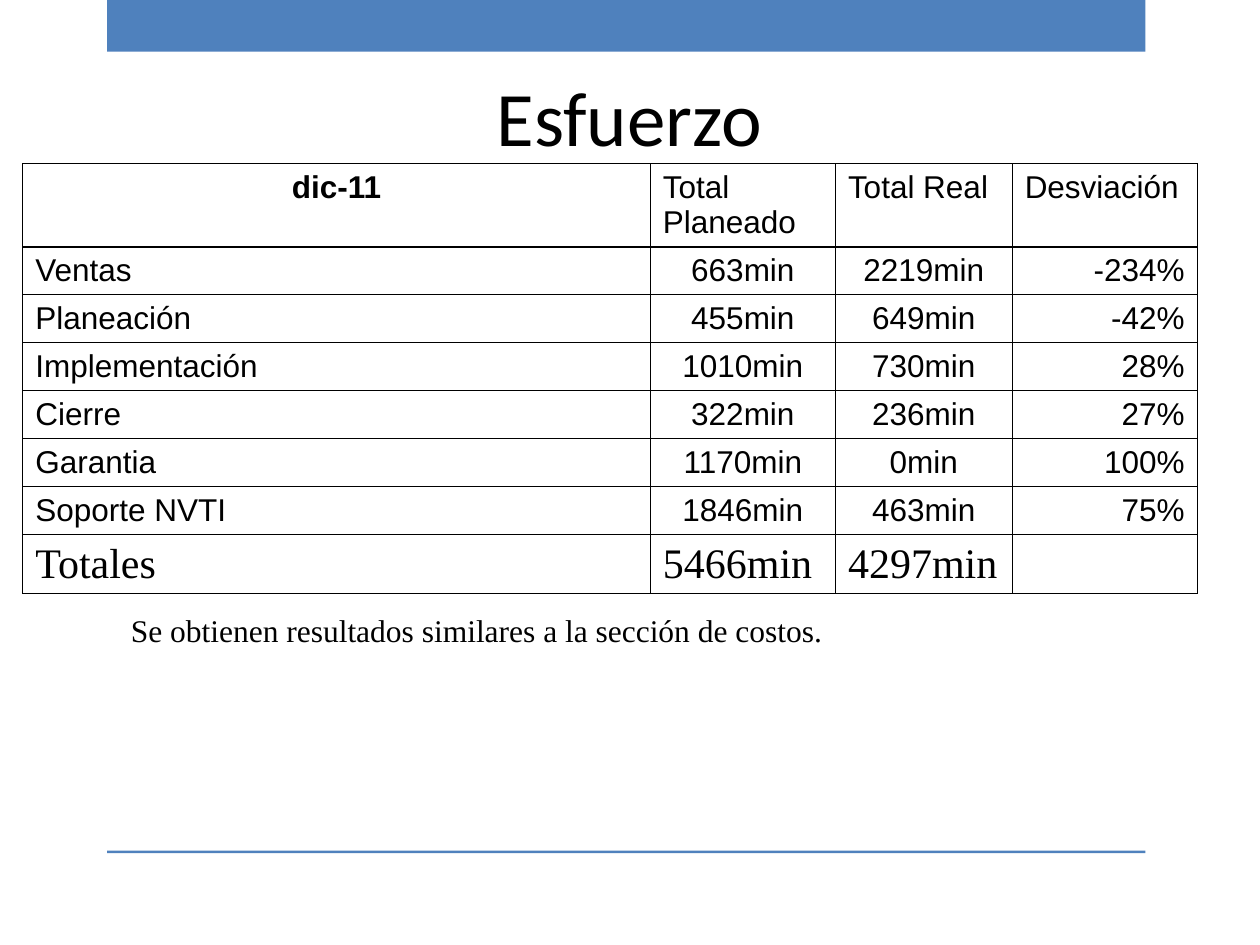
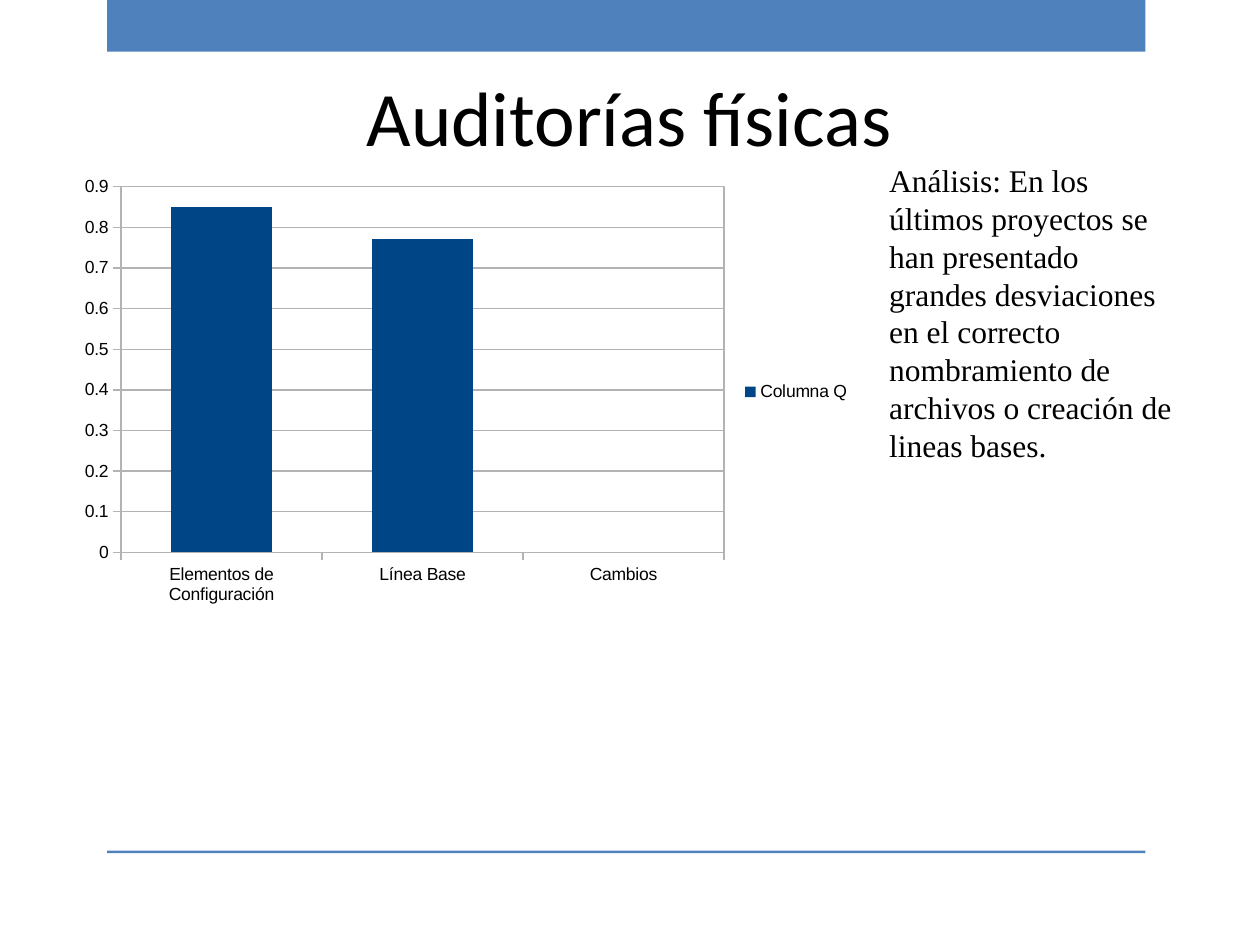
"""Build two project report slides: effort by phase and physical audits."""

from dataclasses import dataclass
from typing import Any

from lxml.etree import SubElement
from pptx import Presentation
from pptx.chart.data import CategoryChartData
from pptx.dml.color import RGBColor
from pptx.enum.chart import XL_CHART_TYPE, XL_LEGEND_POSITION, XL_TICK_MARK
from pptx.enum.shapes import MSO_SHAPE
from pptx.enum.text import MSO_ANCHOR, PP_ALIGN
from pptx.oxml import parse_xml
from pptx.oxml.ns import nsdecls, qn
from pptx.util import Pt

BLUE = RGBColor(0x4F, 0x81, 0xBD)
NAVY = RGBColor(0x00, 0x45, 0x86)
GRAY = RGBColor(0xB3, 0xB3, 0xB3)
BLACK = RGBColor(0x00, 0x00, 0x00)
WHITE = RGBColor(0xFF, 0xFF, 0xFF)
LINE_WIDTH = Pt(0.75)

TITLE_FONT = {"name": "Calibri", "size": Pt(44), "bold": False}
NOTE_FONT = {"name": "Times New Roman", "size": Pt(18)}
CELL_FONT = {"name": "Arial", "size": Pt(18), "bold": False}
HEADING_FONT = {**CELL_FONT, "bold": True}
TOTAL_FONT = {**CELL_FONT, "name": "Times New Roman", "size": Pt(24)}
CHART_FONT = {"name": "Arial", "size": Pt(10)}


@dataclass(frozen=True)
class Box:
    left: float
    top: float
    width: float
    height: float

    def lengths(self) -> tuple[Pt, Pt, Pt, Pt]:
        return Pt(self.left), Pt(self.top), Pt(self.width), Pt(self.height)


@dataclass(frozen=True)
class RowStyle:
    height: float
    font: dict[str, Any]
    alignments: tuple[PP_ALIGN, ...]


TITLE_BOX = Box(36, 21.6, 647.3, 89.3)
BANDS = (Box(61.2, 0, 593.3, 29.5), Box(61.2, 486, 593.3, 1.5))

EFFORT_COLUMNS = (358.6, 105.8, 101, 105.8)
EFFORT_ROWS = (
    ("dic-11", "Total Planeado", "Total Real", "Desviación"),
    ("Ventas", "663min", "2219min", "-234%"),
    ("Planeación", "455min", "649min", "-42%"),
    ("Implementación", "1010min", "730min", "28%"),
    ("Cierre", "322min", "236min", "27%"),
    ("Garantia", "1170min", "0min", "100%"),
    ("Soporte NVTI", "1846min", "463min", "75%"),
    ("Totales", "5466min", "4297min", ""),
)
HEADER_ROW = RowStyle(47.5, CELL_FONT, (PP_ALIGN.CENTER,) + (PP_ALIGN.LEFT,) * 3)
DATA_ROW = RowStyle(27.4, CELL_FONT, (PP_ALIGN.LEFT, PP_ALIGN.CENTER,
                                      PP_ALIGN.CENTER, PP_ALIGN.RIGHT))
TOTAL_ROW = RowStyle(33.8, TOTAL_FONT, (PP_ALIGN.LEFT,) * 4)
ROW_STYLES = (HEADER_ROW, *[DATA_ROW] * (len(EFFORT_ROWS) - 2), TOTAL_ROW)


def apply_format(target: Any, values: dict[str, Any]) -> None:
    for name, value in values.items():
        setattr(target, name, value)


def write_text(text_frame: Any, text: str, font: dict[str, Any],
               alignment: PP_ALIGN = PP_ALIGN.LEFT) -> None:
    text_frame.word_wrap = True
    paragraph = text_frame.paragraphs[0]
    paragraph.alignment = alignment
    run = paragraph.add_run()
    run.text = text
    apply_format(run.font, font)
    run.font.color.rgb = BLACK


def add_bands(slide: Any) -> None:
    for box in BANDS:
        band = slide.shapes.add_shape(MSO_SHAPE.RECTANGLE, *box.lengths())
        band.shadow.inherit = False
        band.fill.solid()
        band.fill.fore_color.rgb = BLUE
        band.line.fill.background()
        slide.slide_layout.shapes.element.append(band.element)


def add_titled_slide(presentation: Any, title: str) -> Any:
    slide = presentation.slides.add_slide(presentation.slide_layouts[5])
    shape = slide.shapes.title
    apply_format(shape, dict(zip(("left", "top", "width", "height"), TITLE_BOX.lengths())))
    shape.text_frame.vertical_anchor = MSO_ANCHOR.MIDDLE
    write_text(shape.text_frame, title, TITLE_FONT, PP_ALIGN.CENTER)
    return slide


def add_note(slide: Any, box: Box, text: str) -> None:
    note = slide.shapes.add_textbox(*box.lengths())
    write_text(note.text_frame, text, NOTE_FONT)


def add_cell_borders(cell: Any) -> None:
    properties = cell._tc.get_or_add_tcPr()
    for side in ("lnL", "lnR", "lnT", "lnB"):
        line = SubElement(properties, qn(f"a:{side}"), w=str(LINE_WIDTH))
        fill = SubElement(line, qn("a:solidFill"))
        SubElement(fill, qn("a:srgbClr"), val=str(BLACK))


def add_effort_table(slide: Any, box: Box) -> None:
    frame = slide.shapes.add_table(len(EFFORT_ROWS), len(EFFORT_COLUMNS), *box.lengths())
    table = frame.table
    apply_format(table, {"first_row": False, "horz_banding": False})
    for column, width in zip(table.columns, EFFORT_COLUMNS):
        column.width = Pt(width)
    for row, texts, style in zip(table.rows, EFFORT_ROWS, ROW_STYLES):
        row.height = Pt(style.height)
        for cell, text, alignment in zip(row.cells, texts, style.alignments):
            add_cell_borders(cell)
            cell.margin_bottom = Pt(0.7)
            cell.fill.solid()
            cell.fill.fore_color.rgb = WHITE
            if text:
                font = HEADING_FONT if text == EFFORT_ROWS[0][0] else style.font
                write_text(cell.text_frame, text, font, alignment)


def style_line(line: Any) -> None:
    line.color.rgb = GRAY
    line.width = LINE_WIDTH


def frame_plot_area(chart: Any) -> None:
    plot_area = chart.element.xpath("c:chart/c:plotArea")[0]
    for layout in plot_area.findall(qn("c:layout")):
        plot_area.remove(layout)
    plot_area.insert(0, parse_xml(
        f'<c:layout {nsdecls("c")}><c:manualLayout><c:layoutTarget val="inner"/>'
        '<c:xMode val="edge"/><c:yMode val="edge"/><c:x val="0.065"/><c:y val="0.04"/>'
        '<c:w val="0.76"/><c:h val="0.82"/></c:manualLayout></c:layout>'))
    plot_area.append(parse_xml(
        f'<c:spPr {nsdecls("c", "a")}><a:noFill/><a:ln w="{LINE_WIDTH}"><a:solidFill>'
        f'<a:srgbClr val="{GRAY}"/></a:solidFill></a:ln></c:spPr>'))


def add_audit_chart(slide: Any, box: Box) -> None:
    data = CategoryChartData()
    data.categories = ("Elementos de Configuración", "Línea Base", "Cambios")
    data.add_series("Columna Q", (0.85, 0.77, None))
    chart = slide.shapes.add_chart(
        XL_CHART_TYPE.COLUMN_CLUSTERED, *box.lengths(), data).chart
    apply_format(chart, {"has_title": False, "has_legend": True})
    apply_format(chart.legend, {"position": XL_LEGEND_POSITION.RIGHT,
                                "include_in_layout": False})
    apply_format(chart.font, CHART_FONT)
    chart.font.color.rgb = BLACK
    plot = chart.plots[0]
    apply_format(plot, {"gap_width": 100, "vary_by_categories": False})
    series = plot.series[0]
    series.format.fill.solid()
    series.format.fill.fore_color.rgb = NAVY
    for axis in (chart.category_axis, chart.value_axis):
        axis.major_tick_mark = XL_TICK_MARK.OUTSIDE
        style_line(axis.format.line)
    apply_format(chart.value_axis, {"minimum_scale": 0, "maximum_scale": 0.9,
                                    "major_unit": 0.1, "has_major_gridlines": True})
    style_line(chart.value_axis.major_gridlines.format.line)
    frame_plot_area(chart)


def main() -> None:
    presentation = Presentation()
    apply_format(presentation, {"slide_width": Pt(720), "slide_height": Pt(540)})

    effort_slide = add_titled_slide(presentation, "Esfuerzo")
    add_bands(effort_slide)
    add_note(effort_slide, Box(67.7, 345.6, 470, 136),
             "Se obtienen resultados similares a la sección de costos.")
    add_effort_table(effort_slide, Box(13, 93.6, 671.2, 245.7))

    audit_slide = add_titled_slide(presentation, "Auditorías físicas")
    add_note(audit_slide, Box(501, 88.6, 179.3, 244),
             "Análisis: En los últimos proyectos se han presentado grandes desviaciones "
             "en el correcto nombramiento de archivos o creación de lineas bases.")
    add_audit_chart(audit_slide, Box(39.6, 96.5, 453.6, 254.9))

    presentation.save("out.pptx")


if __name__ == "__main__":
    main()
